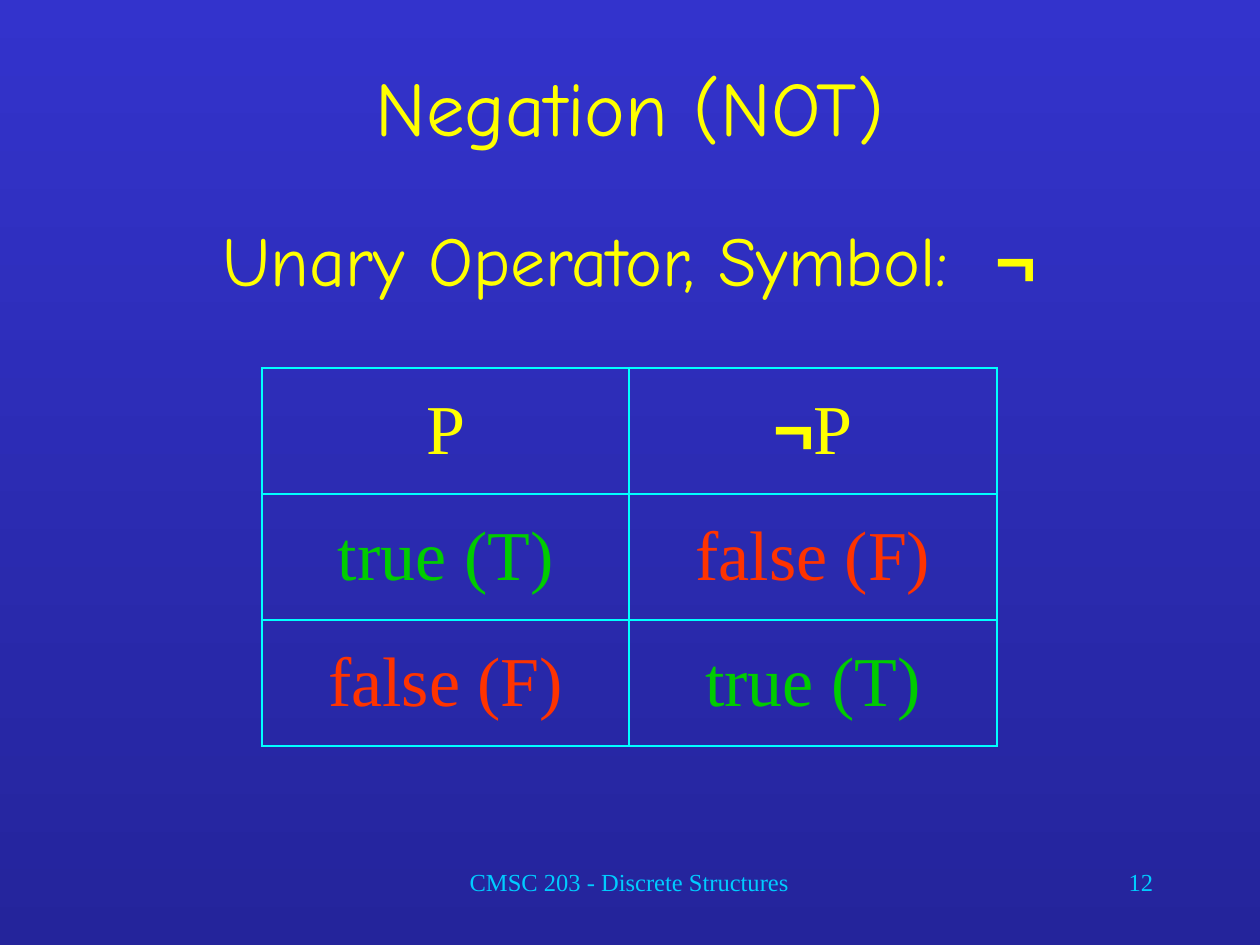
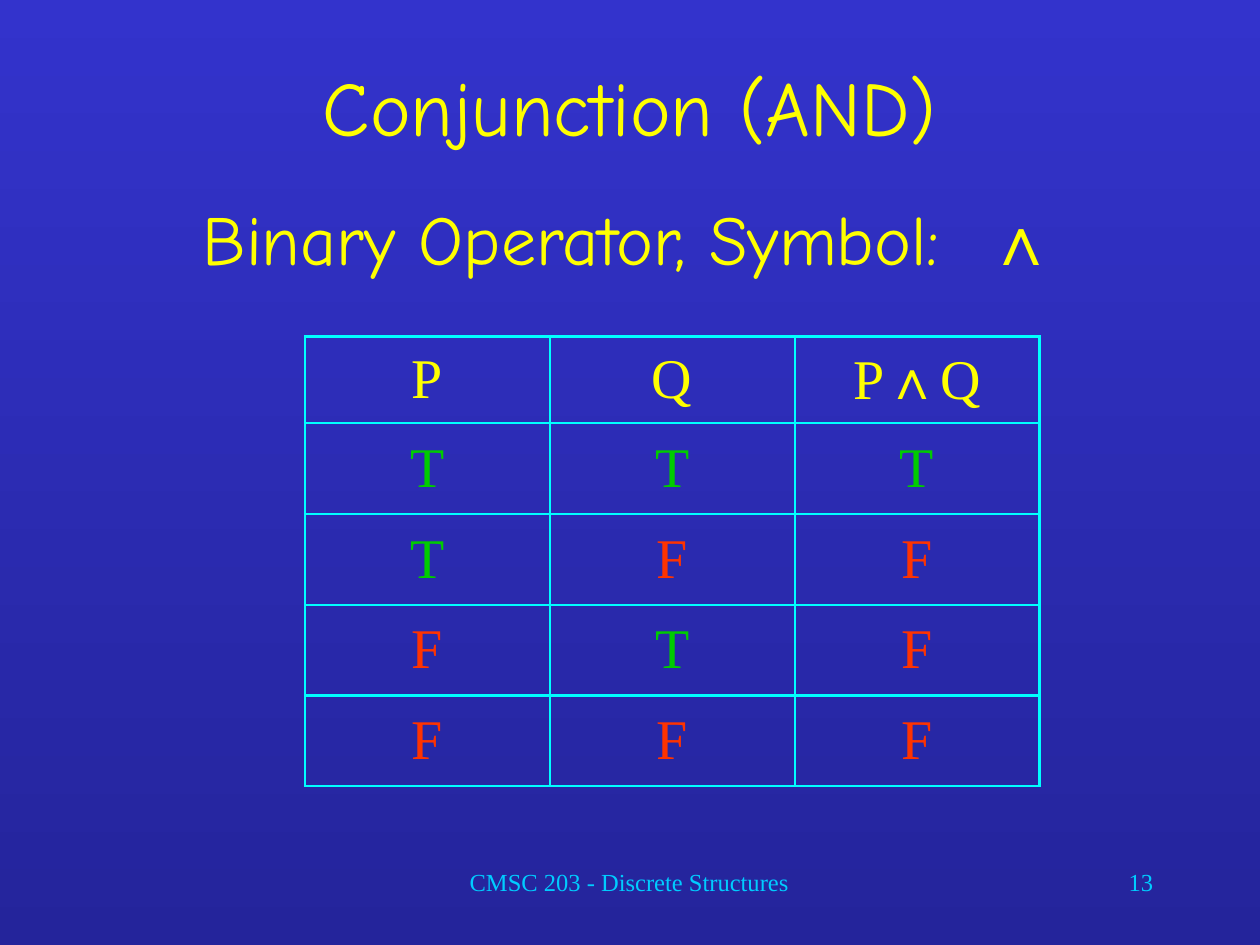
from lxml import etree
from pptx import Presentation
from pptx.dml.color import RGBColor
from pptx.enum.text import MSO_ANCHOR as ANCHOR, PP_ALIGN as ALIGN
from pptx.oxml.ns import qn
from pptx.util import Inches, Pt

# Shared look
BG_TOP = RGBColor(0x33, 0x33, 0xCC)
BG_BOTTOM = RGBColor(0x24, 0x24, 0x9B)
YELLOW = RGBColor(0xFF, 0xFF, 0x00)
SKY = RGBColor(0x00, 0xCC, 0xFF)
CYAN = RGBColor(0x00, 0xFF, 0xFF)
GREEN = RGBColor(0x00, 0xCC, 0x00)
RED = RGBColor(0xFF, 0x33, 0x00)
HEADING_FONT, TEXT_FONT, SYMBOL_FONT = "Comic Neue", "Times New Roman", "Arial"
BORDER_WIDTH = Pt(1.5)
COURSE = "CMSC 203 - Discrete Structures"

TITLE_BOX = (0.75, 0.42, 8.5, 0.75)
FOOTER_BOX = (2.83, 6.83, 4.33, 0.5)
NUMBER_BOX = (7.17, 6.83, 2.08, 0.5)


def add_run(p, text, size, color, font, bold=False):
    r = p.add_run()
    r.text = text
    r.font.size, r.font.name, r.font.bold = Pt(size), font, bold
    r.font.color.rgb = color


def add_text(slide, box, text, size, color, font, align=ALIGN.CENTER):
    tf = slide.shapes.add_textbox(*map(Inches, box)).text_frame
    tf.word_wrap = True
    tf.vertical_anchor = ANCHOR.TOP
    p = tf.paragraphs[0]
    p.alignment = align
    add_run(p, text, size, color, font)
    return p


def set_background(master):
    fill = master.background.fill
    fill.gradient()
    fill.gradient_angle = 270
    for stop, color in zip(fill.gradient_stops, (BG_TOP, BG_BOTTOM)):
        stop.color.rgb = color


def add_operator_line(slide, box, text, symbol):
    p = add_text(slide, box, text, 40, YELLOW, HEADING_FONT)
    p.space_before = Pt(10)
    pPr = p._p.get_or_add_pPr()
    pPr.set("marL", str(Inches(0.38)))
    pPr.set("indent", str(-Inches(0.38)))
    add_run(p, symbol, 40, YELLOW, SYMBOL_FONT, bold=True)


def set_borders(cell):
    tcPr = cell._tc.get_or_add_tcPr()
    for side in ("a:lnL", "a:lnR", "a:lnT", "a:lnB"):
        ln = etree.SubElement(tcPr, qn(side), w=str(BORDER_WIDTH))
        fill = etree.SubElement(ln, qn("a:solidFill"))
        etree.SubElement(fill, qn("a:srgbClr"), val=str(CYAN))


def fill_cell(cell, text, size, bold_symbol):
    set_borders(cell)
    cell.fill.background()
    cell.vertical_anchor = ANCHOR.MIDDLE
    p = cell.text_frame.paragraphs[0]
    p.alignment = ALIGN.CENTER
    if text[0] in "tT":
        add_run(p, text, size, GREEN, TEXT_FONT)
    elif text[0] in "fF":
        add_run(p, text, size, RED, TEXT_FONT)
    else:  # header: letters and operators differ in font
        for char in text:
            is_symbol = not char.isalpha()
            font = SYMBOL_FONT if is_symbol else TEXT_FONT
            add_run(p, char, size, YELLOW, font, is_symbol and bold_symbol)


def add_truth_table(slide, left, top, row_heights, rows, size, bold_symbol=False):
    width, cols = Inches(5.83), len(rows[0])
    table = slide.shapes.add_table(len(rows), cols, Inches(left), Inches(top),
                                   width, Inches(sum(row_heights))).table
    table.first_row = table.horz_banding = False
    for col in table.columns:
        col.width = width // cols
    for row, height, texts in zip(table.rows, row_heights, rows):
        row.height = Inches(height)
        for cell, text in zip(row.cells, texts):
            fill_cell(cell, text, size, bold_symbol)


def add_operator_slide(prs, number, title):
    slide = prs.slides.add_slide(prs.slide_layouts[6])
    add_text(slide, TITLE_BOX, title, 44, YELLOW, HEADING_FONT)
    add_text(slide, FOOTER_BOX, COURSE, 14, SKY, TEXT_FONT)
    add_text(slide, NUMBER_BOX, str(number), 14, SKY, TEXT_FONT, ALIGN.RIGHT)
    return slide


def main():
    prs = Presentation()
    prs.slide_width, prs.slide_height = Inches(10), Inches(7.5)
    set_background(prs.slide_master)

    # Negation
    slide = add_operator_slide(prs, 12, "Negation (NOT)")
    add_operator_line(slide, (0.58, 1.67, 8.83, 0.92),
                      "Unary Operator, Symbol:  ", "¬")
    add_truth_table(slide, 2.08, 2.92, [1] * 3,
                    [("P", "¬P"), ("true (T)", "false (F)"),
                     ("false (F)", "true (T)")], 40, bold_symbol=True)

    # Conjunction
    slide = add_operator_slide(prs, 13, "Conjunction (AND)")
    add_operator_line(slide, (0.58, 1.5, 8.83, 0.92),
                      "Binary Operator, Symbol:  ", "∧")
    add_truth_table(slide, 2.42, 2.67, [0.69] + [0.72] * 4,
                    [("P", "Q", "P∧Q"), "TTT", "TFF", "FTF", "FFF"], 32)

    prs.save("out.pptx")


if __name__ == "__main__":
    main()
